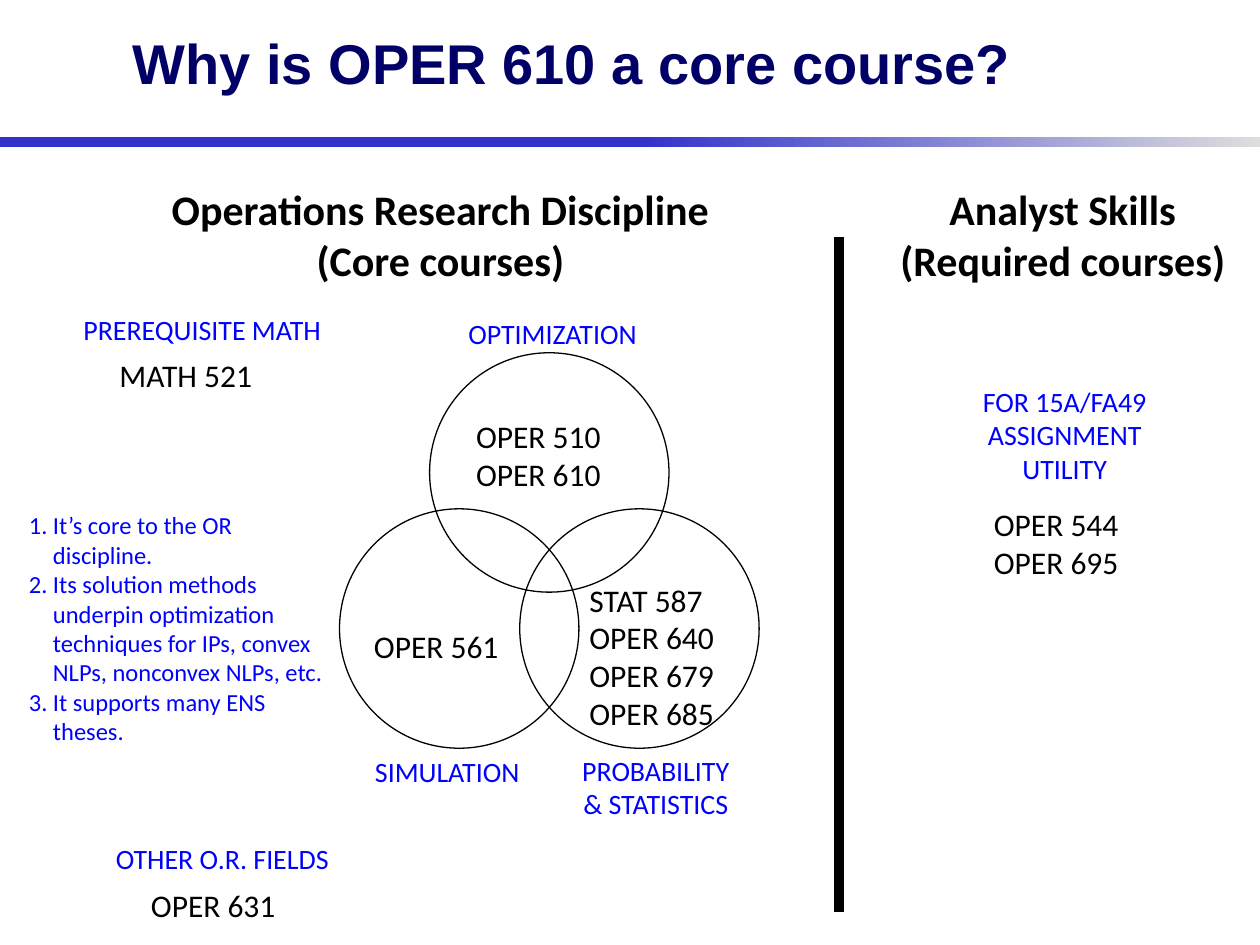
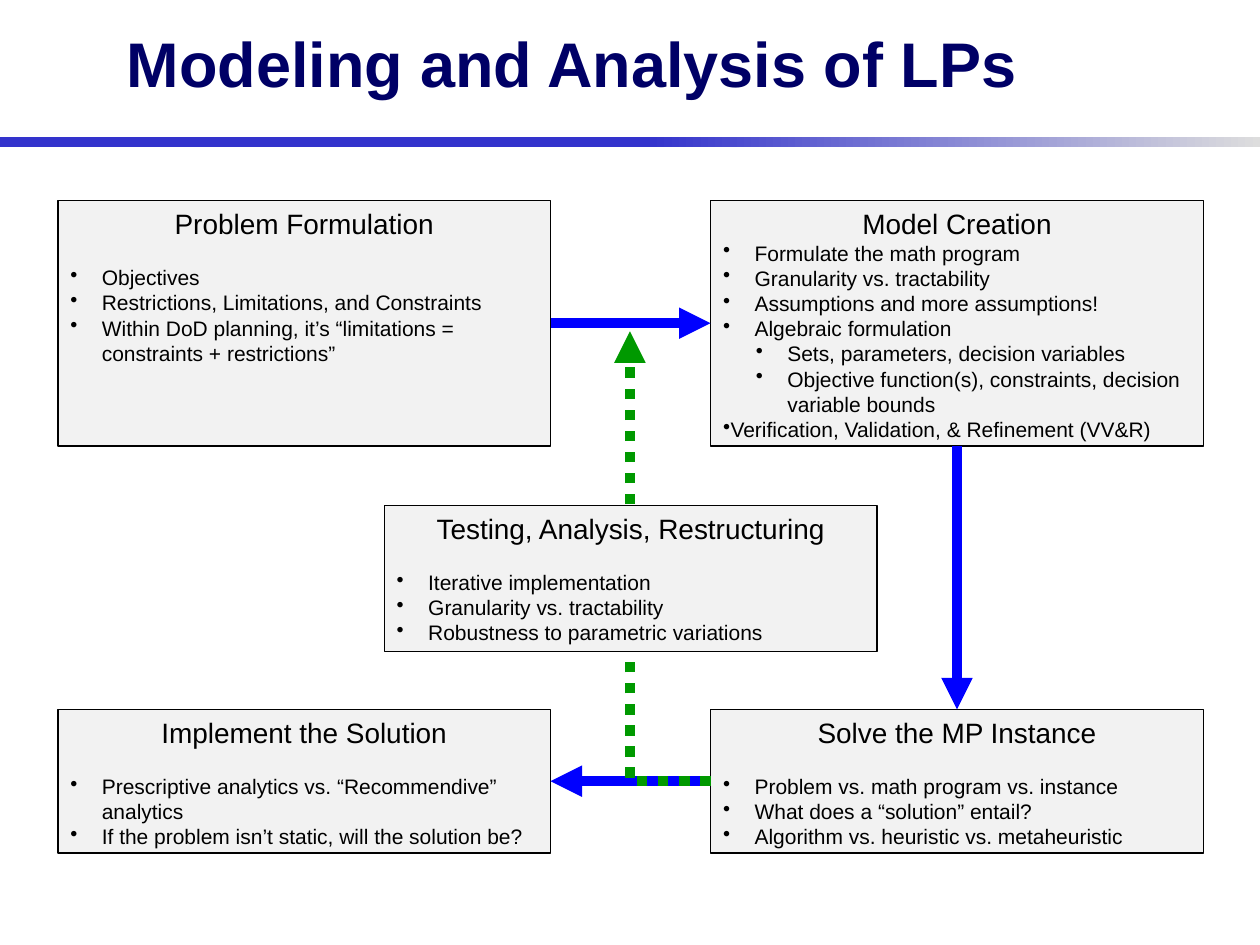
from math import sqrt

from lxml.etree import SubElement
from pptx import Presentation
from pptx.dml.color import RGBColor
from pptx.enum.dml import MSO_LINE
from pptx.enum.shapes import MSO_CONNECTOR, MSO_SHAPE
from pptx.enum.text import MSO_ANCHOR, MSO_AUTO_SIZE, PP_ALIGN
from pptx.oxml.ns import qn
from pptx.util import Inches, Pt

COLORS = {
    "title": "000066",
    "band_start": "3333CC",
    "band_end": "DDDDDD",
    "accent": "0000FF",
    "feedback": "009900",
    "panel": "F2F2F2",
    "ink": "000000",
}
COLUMNS, ROWS = 100, 75
TOP, LEFT, BOTTOM, RIGHT = range(4)
TITLE_AND_BODY, TITLE_ONLY = 1, 5
HANGING = 0.25


def color(name):
    return RGBColor.from_string(COLORS[name])


class SlideBuilder:
    """Holds the shared style and the slide being built."""

    def __init__(self):
        self.presentation = Presentation()
        self.presentation.slide_width = Inches(10)
        self.presentation.slide_height = Inches(7.5)
        self.cell_width = self.presentation.slide_width / COLUMNS
        self.cell_height = self.presentation.slide_height / ROWS
        self.slide = None

    def place(self, column, row, width, height):
        return (round(column * self.cell_width), round(row * self.cell_height),
                round(width * self.cell_width), round(height * self.cell_height))

    def move(self, shape, *cells):
        shape.left, shape.top, shape.width, shape.height = self.place(*cells)

    def new_slide(self, title, size, layout):
        layouts = self.presentation.slide_layouts
        self.slide = self.presentation.slides.add_slide(layouts[layout])
        self.band()
        shape = self.slide.shapes.title
        self.move(shape, 8.6, -1.3, 73.6, 12.5)
        frame = shape.text_frame
        frame.auto_size = MSO_AUTO_SIZE.NONE
        frame.vertical_anchor = MSO_ANCHOR.MIDDLE
        self.add_text(frame, title, size, "title", "Arial", True, PP_ALIGN.CENTER)

    def band(self):
        band = self.shape(MSO_SHAPE.RECTANGLE, 0, 10.9, COLUMNS, 0.8)
        band.line.fill.background()
        band.fill.gradient()
        band.fill.gradient_angle = 0
        stops = ((0.51, "band_start"), (1, "band_end"))
        for stop, (position, name) in zip(band.fill.gradient_stops, stops):
            stop.position = position
            stop.color.rgb = color(name)

    def add_text(self, frame, text, size, name="ink", font="Calibri", bold=False,
                 align=PP_ALIGN.LEFT):
        """Add one paragraph, using the empty first one when there is one."""
        paragraph = frame.paragraphs[0]
        if paragraph.runs:
            paragraph = frame.add_paragraph()
        paragraph.alignment = align
        run = paragraph.add_run()
        run.text = text
        run.font.name = font
        run.font.size = Pt(size)
        run.font.bold = bold
        run.font.color.rgb = color(name)
        return paragraph

    def bullet(self, paragraph, margin, hanging, tag, **attributes):
        properties = paragraph._p.get_or_add_pPr()
        properties.set("marL", str(Inches(margin)))
        properties.set("indent", str(-Inches(hanging)))
        SubElement(properties, qn(tag), **attributes)

    def shape(self, kind, *cells):
        shape = self.slide.shapes.add_shape(kind, *self.place(*cells))
        shape.shadow.inherit = False
        shape.line.color.rgb = color("ink")
        shape.line.width = Pt(0.75)
        return shape

    def circle(self, *cells):
        self.shape(MSO_SHAPE.OVAL, *cells).fill.background()

    def label(self, lines, column, row, width, size, name="ink", bold=False,
              align=PP_ALIGN.LEFT):
        height = 1 + len(lines) * size / 6
        box = self.slide.shapes.add_textbox(*self.place(column, row, width, height))
        frame = box.text_frame
        frame.word_wrap = False
        frame.auto_size = MSO_AUTO_SIZE.SHAPE_TO_FIT_TEXT
        for line in lines:
            self.add_text(frame, line, size, name, bold=bold, align=align)
        return box

    def numbered_list(self, items, *cells):
        body = self.slide.placeholders[1]
        self.move(body, *cells)
        body.text_frame.auto_size = MSO_AUTO_SIZE.NONE
        for item in items:
            paragraph = self.add_text(body.text_frame, item, 14, "accent")
            paragraph.space_before = Pt(0)
            self.bullet(paragraph, 0.19, 0.19, "a:buAutoNum", type="arabicPeriod")

    def panel(self, heading, items, column, row, height, gap=14):
        """Draw a box; each item is a text, or a text with its left margin."""
        panel = self.shape(MSO_SHAPE.RECTANGLE, column, row, 39.1, height)
        panel.fill.solid()
        panel.fill.fore_color.rgb = color("panel")
        frame = panel.text_frame
        frame.word_wrap = True
        frame.vertical_anchor = MSO_ANCHOR.TOP
        self.add_text(frame, heading, 16, font="Arial", align=PP_ALIGN.CENTER)
        for index, item in enumerate(items):
            text, margin = item if isinstance(item, tuple) else (item, HANGING)
            paragraph = self.add_text(frame, text, 12, font="Arial")
            paragraph.level = int(margin > HANGING)
            paragraph.space_before = Pt(0 if index else gap)
            self.bullet(paragraph, margin, HANGING, "a:buChar", char="•")
        return panel

    def line(self, start, end, name="ink", kind=MSO_CONNECTOR.STRAIGHT, head=False):
        ends = self.place(*start, *end)
        connector = self.slide.shapes.add_connector(kind, *ends)
        connector.line.color.rgb = color(name)
        connector.line.width = Pt(6)
        properties = connector._element.spPr
        if head:
            SubElement(properties.find(qn("a:ln")), qn("a:tailEnd"), type="triangle")
        SubElement(properties, qn("a:effectLst"))
        return connector

    def arrow(self, source, source_side, target, target_side):
        connector = self.line((0, 0), (1, 1), "accent", head=True)
        connector.begin_connect(source, source_side)
        connector.end_connect(target, target_side)

    def feedback_arrow(self, start, end):
        connector = self.line(start, end, "feedback", MSO_CONNECTOR.ELBOW, True)
        connector._element.spPr.find(qn("a:prstGeom")).set("prst", "bentConnector2")
        connector.line.dash_style = MSO_LINE.ROUND_DOT


def core_course_slide(builder):
    builder.new_slide("Why is OPER 610 a core course?", 32, TITLE_AND_BODY)

    # Three overlapping circles, centred on an equilateral triangle
    diameter, side = 19, 14.3
    column, row = 34.1, 28
    lower_row = row + side * sqrt(3) / 2
    builder.circle(column, row, diameter, diameter)
    for shift in (-side / 2, side / 2):
        builder.circle(column + shift, lower_row, diameter, diameter)

    # Topic labels
    for lines, *cells in (
        (["OPTIMIZATION"], 35.9, 24.6, 15.9),
        (["SIMULATION"], 28.5, 59.4, 14),
        (["PROBABILITY", "& STATISTICS"], 44.9, 59.3, 14.3),
        (["PREREQUISITE MATH"], 5.3, 24.3, 21.5),
        (["OTHER O.R. FIELDS"], 7.9, 66.3, 19.5),
    ):
        builder.label(lines, *cells, 16, "accent", align=PP_ALIGN.CENTER)
    utility = builder.label(["FOR 15A/FA49 ASSIGNMENT UTILITY"], 75.4, 30, 18.2,
                            16, "accent", align=PP_ALIGN.CENTER)
    utility.text_frame.word_wrap = True
    utility.height = builder.place(0, 0, 0, 9.1)[3]

    # Course numbers
    for lines, *cells in (
        (["OPER 510", "OPER 610"], 36.8, 32.6, 12),
        (["STAT 587", "OPER 640", "OPER 679", "OPER 685"], 45.8, 45.6, 12),
        (["OPER 561"], 28.7, 49.3, 12),
        (["MATH 521"], 8.5, 27.8, 12.7),
        (["OPER 631"], 11, 69.8, 12),
        (["OPER 544", "OPER 695"], 77.9, 39.6, 12),
    ):
        builder.label(lines, *cells, 18)

    # Column headings and divider
    builder.line((66.6, 18.8), (66.6, 72.4))
    for lines, *cells in (
        (["Operations Research Discipline", "(Core courses)"], 12.4, 14.1, 45.1),
        (["Analyst Skills", "(Required courses)"], 70.3, 14.1, 28.1),
    ):
        builder.label(lines, *cells, 24, bold=True, align=PP_ALIGN.CENTER)

    # Reasons
    builder.numbered_list([
        "It’s core to the OR discipline.",
        "Its solution methods underpin optimization techniques for IPs, "
        "convex NLPs, nonconvex NLPs, etc.",
        "It supports many ENS theses.",
    ], 1.3, 40, 25.7, 19.9)


def modeling_slide(builder):
    builder.new_slide("Modeling and Analysis of LPs", 36, TITLE_ONLY)
    left, middle, right = 4.6, 30.5, 56.4
    upper, centre, lower = 15.9, 40.1, 56.3

    # Four steps of the process
    formulation = builder.panel("Problem Formulation", [
        "Objectives",
        "Restrictions, Limitations, and Constraints",
        "Within DoD planning, it’s “limitations = constraints + restrictions”",
    ], left, upper, 19.5)
    creation = builder.panel("Model Creation", [
        "Formulate the math program",
        "Granularity vs. tractability",
        "Assumptions and more assumptions!",
        "Algebraic formulation",
        ("Sets, parameters, decision variables", 0.51),
        ("Objective function(s), constraints, decision variable bounds", 0.51),
        ("Verification, Validation, & Refinement (VV&R)", 0.01),
    ], right, upper, 19.5, gap=0)
    solving = builder.panel("Solve the MP Instance", [
        "Problem vs. math program vs. instance",
        "What does a “solution” entail?",
        "Algorithm vs. heuristic vs. metaheuristic",
    ], right, lower, 11.4)
    implementation = builder.panel("Implement the Solution", [
        "Prescriptive analytics vs. “Recommendive” analytics",
        "If the problem isn’t static, will the solution be?",
    ], left, lower, 11.4)

    # Flow between the steps, with the feedback loop behind the testing box
    builder.arrow(formulation, RIGHT, creation, LEFT)
    builder.arrow(solving, LEFT, implementation, RIGHT)
    builder.arrow(creation, BOTTOM, solving, TOP)
    builder.feedback_arrow((right, lower + 5.7), (COLUMNS / 2, 26.3))
    builder.panel("Testing, Analysis, Restructuring", [
        "Iterative implementation",
        "Granularity vs. tractability",
        "Robustness to parametric variations",
    ], middle, centre, 11.6)


def main():
    builder = SlideBuilder()
    core_course_slide(builder)
    modeling_slide(builder)
    builder.presentation.save("out.pptx")


if __name__ == "__main__":
    main()
